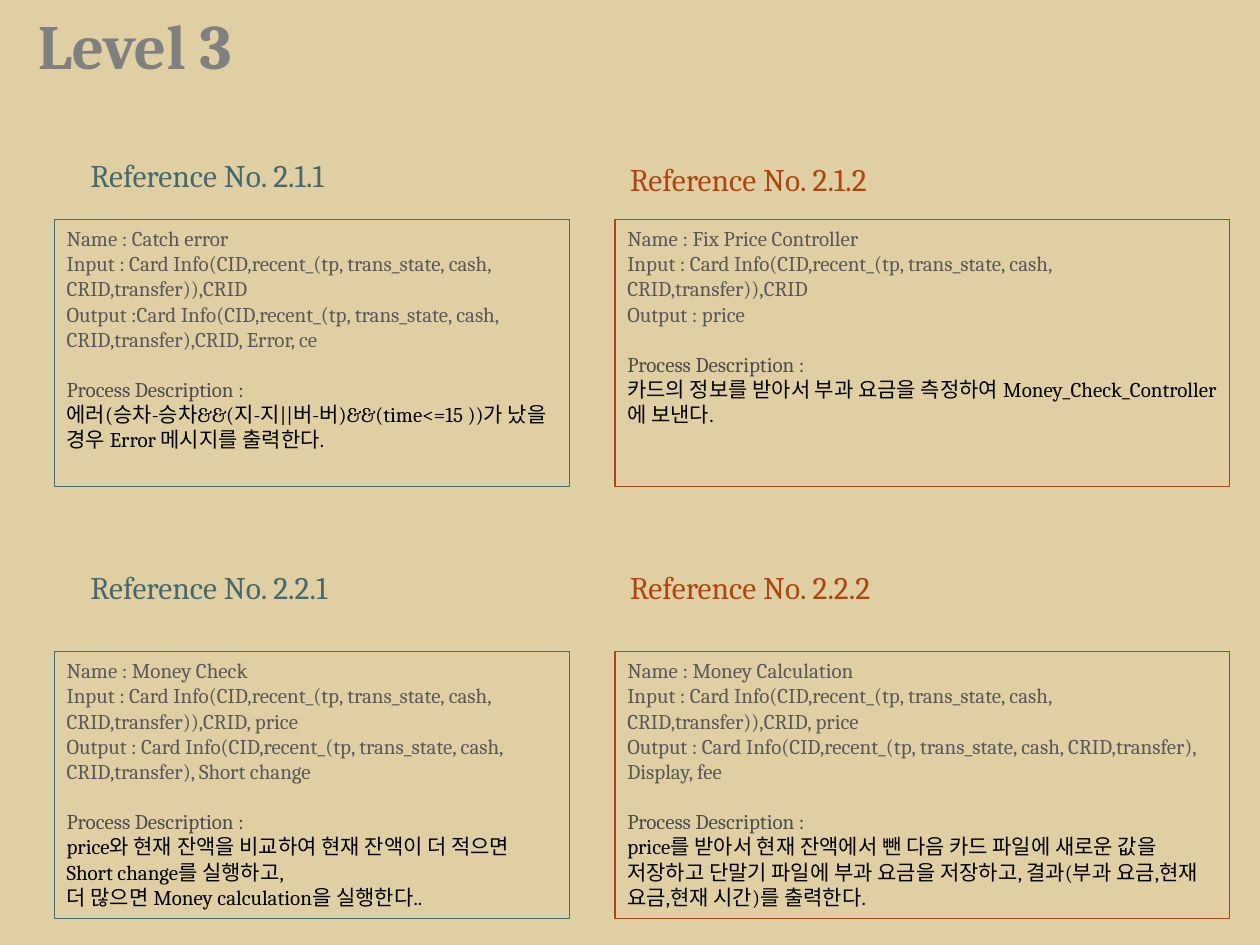
from dataclasses import dataclass

from lxml import etree
from pptx import Presentation
from pptx.dml.color import RGBColor
from pptx.enum.shapes import MSO_SHAPE
from pptx.enum.text import MSO_ANCHOR, MSO_AUTO_SIZE, PP_ALIGN
from pptx.oxml.ns import qn
from pptx.slide import Slide
from pptx.text.text import TextFrame, _Paragraph
from pptx.util import Inches, Pt

RECTANGLE = MSO_SHAPE.RECTANGLE
TOP = MSO_ANCHOR.TOP
NO_AUTOSIZE = MSO_AUTO_SIZE.NONE
LEFT, CENTER = PP_ALIGN.LEFT, PP_ALIGN.CENTER


@dataclass(frozen=True)
class Theme:
    font: str = "Cambria"
    background: str = "E0CFA3"
    teal: str = "46696D"
    rust: str = "AE460F"
    title: str = "808080"
    title_outline: str = "595959"
    field: str = "595959"
    process_label: str = "4D4D4D"
    process: str = "000000"
    title_size: int = 36
    heading_size: int = 18
    body_size: int = 12
    process_gap: float = 14.3
    border: float = 0.75
    outline: float = 2


@dataclass(frozen=True)
class Column:
    heading_left: float
    card_left: float
    card_width: float
    color: str


@dataclass(frozen=True)
class Reference:
    number: str
    column: Column
    heading_top: float
    card_top: float
    name: str
    inputs: str
    outputs: str
    process: tuple[str, ...]


THEME = Theme()
TEAL_COLUMN = Column(0.62, 0.43, 4.09, THEME.teal)
RUST_COLUMN = Column(4.9, 4.88, 4.88, THEME.rust)
CARD_HEIGHT = 2.12
HEADING_WIDTH, HEADING_HEIGHT = 2.27, 0.4
UPPER_CARD_TOP, LOWER_CARD_TOP = 1.74, 5.17
LOWER_HEADING_TOP = 4.46
CARD_INFO = "Card Info(CID,recent_(tp, trans_state, cash, CRID,transfer)"

REFERENCES = [
    Reference(
        "2.1.1", TEAL_COLUMN, 1.19, UPPER_CARD_TOP, "Catch error",
        f"Input : {CARD_INFO}),CRID",
        f"Output :{CARD_INFO},CRID, Error, ce",
        ("에러(승차-승차&&(지-지||버-버)&&(time<=15 ))가 났을 경우 Error 메시지를 출력한다.",),
    ),
    Reference(
        "2.1.2", RUST_COLUMN, 1.22, UPPER_CARD_TOP, "Fix Price Controller",
        f"Input : {CARD_INFO}),CRID",
        "Output : price",
        ("카드의 정보를 받아서 부과 요금을 측정하여 Money_Check_Controller에 보낸다.",),
    ),
    Reference(
        "2.2.1", TEAL_COLUMN, LOWER_HEADING_TOP, LOWER_CARD_TOP, "Money Check",
        f"Input : {CARD_INFO}),CRID, price",
        f"Output : {CARD_INFO}, Short change",
        ("price와 현재 잔액을 비교하여 현재 잔액이 더 적으면 Short change를 실행하고,",
         "더 많으면 Money calculation을 실행한다.."),
    ),
    Reference(
        "2.2.2", RUST_COLUMN, LOWER_HEADING_TOP, LOWER_CARD_TOP, "Money Calculation",
        f"Input : {CARD_INFO}),CRID, price",
        f"Output : {CARD_INFO}, Display, fee",
        ("price를 받아서 현재 잔액에서 뺀 다음 카드 파일에 새로운 값을 저장하고 단말기 파일에 "
         "부과 요금을 저장하고, 결과(부과 요금,현재 요금,현재 시간)를 출력한다.",),
    ),
]


def apply_format(target: object, values: dict) -> None:
    for attribute, value in values.items():
        setattr(target, attribute, value)


def format_frame(frame: TextFrame, wrap: bool) -> None:
    apply_format(frame, {
        "word_wrap": wrap,
        "auto_size": NO_AUTOSIZE,
        "vertical_anchor": TOP,
    })


def write(paragraph: _Paragraph, text: str, size: float, color: str,
          bold: bool = False) -> None:
    run = paragraph.add_run()
    run.text = text
    apply_format(run.font, {"name": THEME.font, "size": Pt(size), "bold": bold})
    run.font.color.rgb = RGBColor.from_string(color)


def draw_title(slide: Slide, text: str) -> None:
    box = slide.shapes.add_textbox(0, 0, Inches(2.14), Inches(0.71))
    format_frame(box.text_frame, wrap=True)
    paragraph = box.text_frame.paragraphs[0]
    paragraph.alignment = CENTER
    write(paragraph, text, THEME.title_size, THEME.title, bold=True)

    # Outline around the letters
    outline = etree.Element(qn("a:ln"), w=str(Pt(THEME.outline)))
    fill = etree.SubElement(outline, qn("a:solidFill"))
    etree.SubElement(fill, qn("a:srgbClr"), val=THEME.title_outline)
    paragraph.runs[0].font._element.insert(0, outline)


def draw_heading(slide: Slide, reference: Reference) -> None:
    column = reference.column
    box = slide.shapes.add_textbox(
        Inches(column.heading_left), Inches(reference.heading_top),
        Inches(HEADING_WIDTH), Inches(HEADING_HEIGHT))
    format_frame(box.text_frame, wrap=False)
    write(box.text_frame.paragraphs[0], f"Reference No. {reference.number}",
          THEME.heading_size, column.color)


def draw_card(slide: Slide, reference: Reference) -> None:
    column = reference.column
    card = slide.shapes.add_shape(
        RECTANGLE, Inches(column.card_left), Inches(reference.card_top),
        Inches(column.card_width), Inches(CARD_HEIGHT))
    card.shadow.inherit = False
    card.fill.background()
    card.line.color.rgb = RGBColor.from_string(column.color)
    card.line.width = Pt(THEME.border)

    frame = card.text_frame
    format_frame(frame, wrap=True)
    process_label = "Process Description :"
    lines = [
        (f"Name : {reference.name}", THEME.field),
        (reference.inputs, THEME.field),
        (reference.outputs, THEME.field),
        (process_label, THEME.process_label),
        *((line, THEME.process) for line in reference.process),
    ]
    for index, (text, color) in enumerate(lines):
        paragraph = frame.add_paragraph() if index else frame.paragraphs[0]
        paragraph.alignment = LEFT
        if text == process_label:
            paragraph.space_before = Pt(THEME.process_gap)
        write(paragraph, text, THEME.body_size, color)


def main() -> None:
    deck = Presentation()
    apply_format(deck, {"slide_width": Inches(10), "slide_height": Inches(7.5)})
    slide = deck.slides.add_slide(deck.slide_layouts[6])
    background = slide.background.fill
    background.solid()
    background.fore_color.rgb = RGBColor.from_string(THEME.background)

    # Title, then a heading and a card for each reference
    draw_title(slide, "Level 3")
    for reference in REFERENCES:
        draw_heading(slide, reference)
        draw_card(slide, reference)

    deck.save("out.pptx")


if __name__ == "__main__":
    main()
